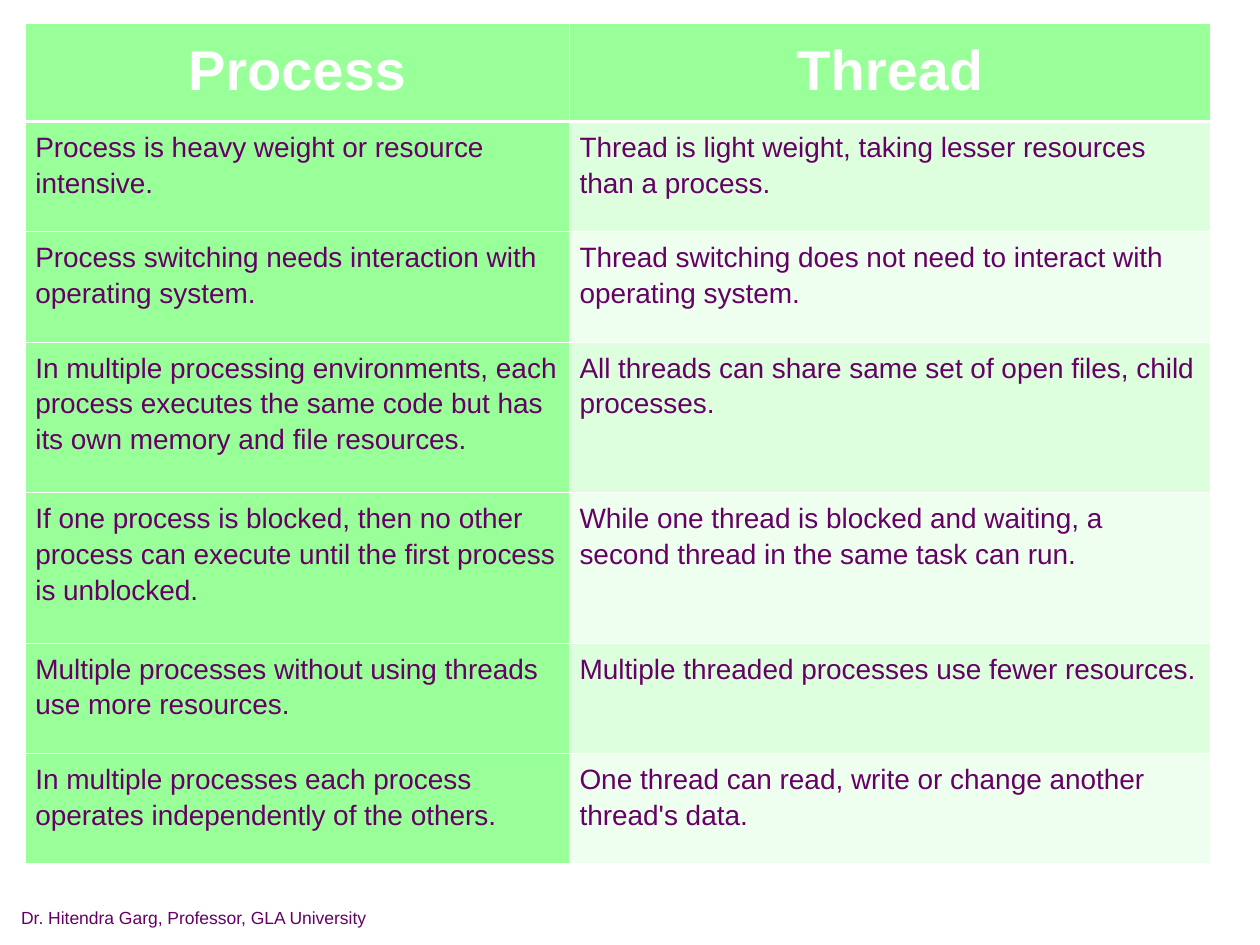
"""Build a slide with a table comparing processes and threads."""
from lxml import etree
from pptx import Presentation
from pptx.dml.color import RGBColor
from pptx.enum import text
from pptx.oxml import ns
from pptx.util import Pt

COLORS = {"green": "99FF99", "odd": "DEFFDE", "even": "EFFFEF",
          "white": "FFFFFF", "purple": "660066"}
ROWS = [
    ("Process", "Thread"),
    ("Process is heavy weight or resource intensive.",
     "Thread is light weight, taking lesser resources than a process."),
    ("Process switching needs interaction with operating system.",
     "Thread switching does not need to interact with operating system."),
    ("In multiple processing environments, each process executes the same code "
     "but has its own memory and file resources.",
     "All threads can share same set of open files, child processes."),
    ("If one process is blocked, then no other process can execute until the "
     "first process is unblocked.",
     "While one thread is blocked and waiting, a second thread in the same task can run."),
    ("Multiple processes without using threads use more resources.",
     "Multiple threaded processes use fewer resources."),
    ("In multiple processes each process operates independently of the others.",
     "One thread can read, write or change another thread's data."),
]
COL_WIDTHS = [311, 366.5]
ROW_HEIGHTS = [56, 63, 63, 86, 86, 63, 63]


def write(tf, words, size=16, color="purple", bold=False,
          align=text.PP_ALIGN.LEFT, line=1.0, after=0):
    p = tf.paragraphs[0]
    p.alignment, p.line_spacing, p.space_after = align, line, Pt(after)
    r = p.add_run()
    r.text = words
    r.font.name, r.font.size, r.font.bold = "Arial", Pt(size), bold
    r.font.color.rgb = RGBColor.from_string(COLORS[color])


def add_borders(cell, widths):
    pr = cell._tc.get_or_add_tcPr()
    for i, (side, width) in enumerate(widths.items()):
        ln = etree.Element(ns.qn(f"a:ln{side}"), w=str(Pt(width)))
        fill = etree.SubElement(ln, ns.qn("a:solidFill"))
        etree.SubElement(fill, ns.qn("a:srgbClr"), val=COLORS["white"])
        pr.insert(i, ln)


prs = Presentation()
prs.slide_width, prs.slide_height = Pt(720), Pt(540)
s = prs.slides.add_slide(prs.slide_layouts[6])

table = s.shapes.add_table(len(ROWS), 2, Pt(14.3), Pt(13.5),
                           Pt(sum(COL_WIDTHS)), Pt(sum(ROW_HEIGHTS))).table
for col, width in zip(table.columns, COL_WIDTHS):
    col.width = Pt(width)
for row, height in zip(table.rows, ROW_HEIGHTS):
    row.height = Pt(height)

for i, row in enumerate(ROWS):
    header = i == 0
    style = (dict(size=32, color="white", bold=True, align=text.PP_ALIGN.CENTER)
             if header else {})
    for j, words in enumerate(row):
        cell = table.cell(i, j)
        cell.margin_left = cell.margin_right = Pt(5.9)
        cell.margin_top = cell.margin_bottom = Pt(3.6)
        shade = "green" if header or j == 0 else "odd" if i % 2 else "even"
        cell.fill.solid()
        cell.fill.fore_color.rgb = RGBColor.from_string(COLORS[shade])
        add_borders(cell, {"L": 0.45, "R": 0.45, "T": 1.47 if i == 1 else 0.45,
                           "B": 1.47 if header else 0.45})
        write(cell.text_frame, words, line=1.15, after=15, **style)

footer = s.shapes.add_textbox(Pt(5), Pt(515), Pt(228), Pt(25))
footer.text_frame.word_wrap = True
write(footer.text_frame, "Dr. Hitendra Garg, Professor, GLA University", size=10)

prs.save("out.pptx")
